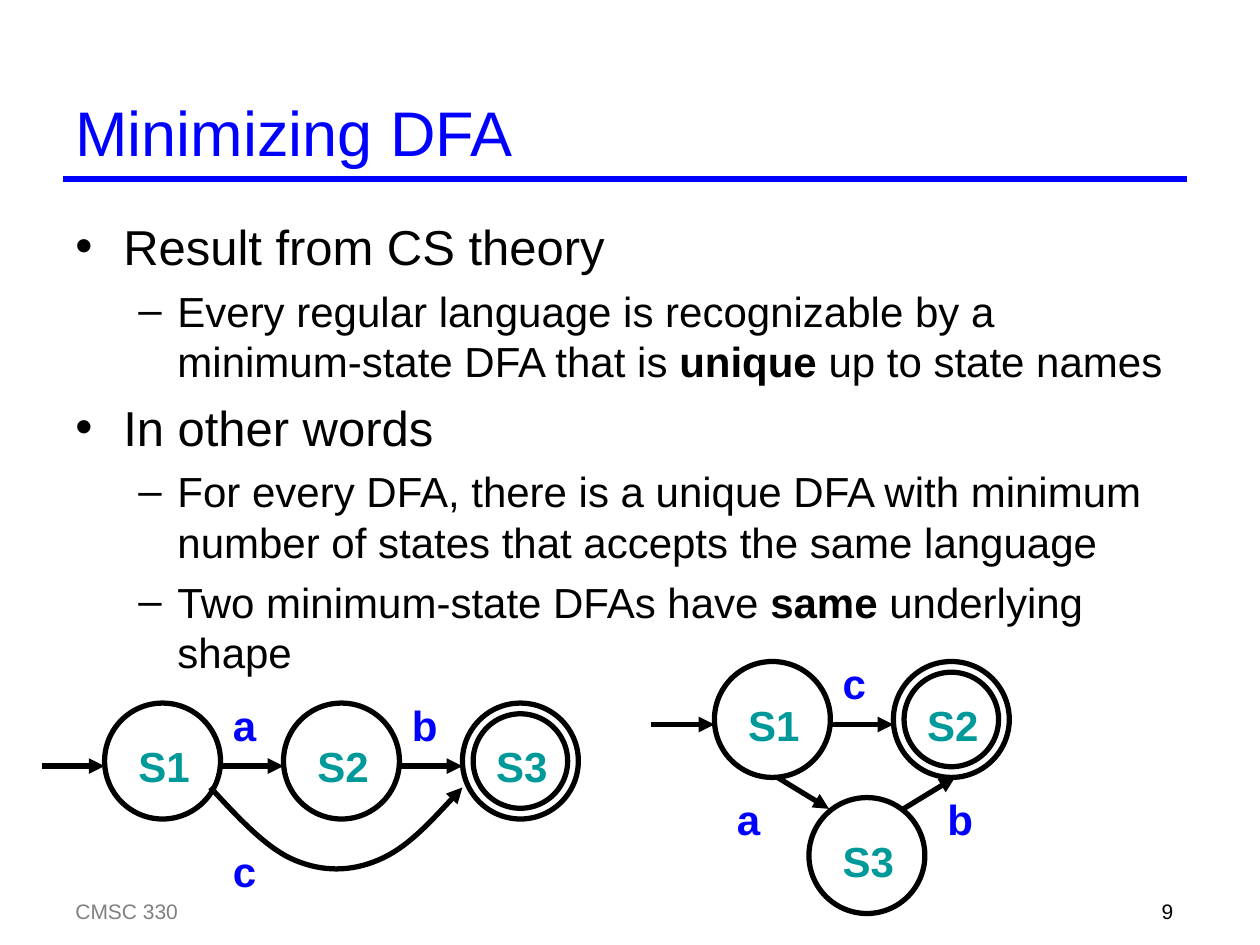
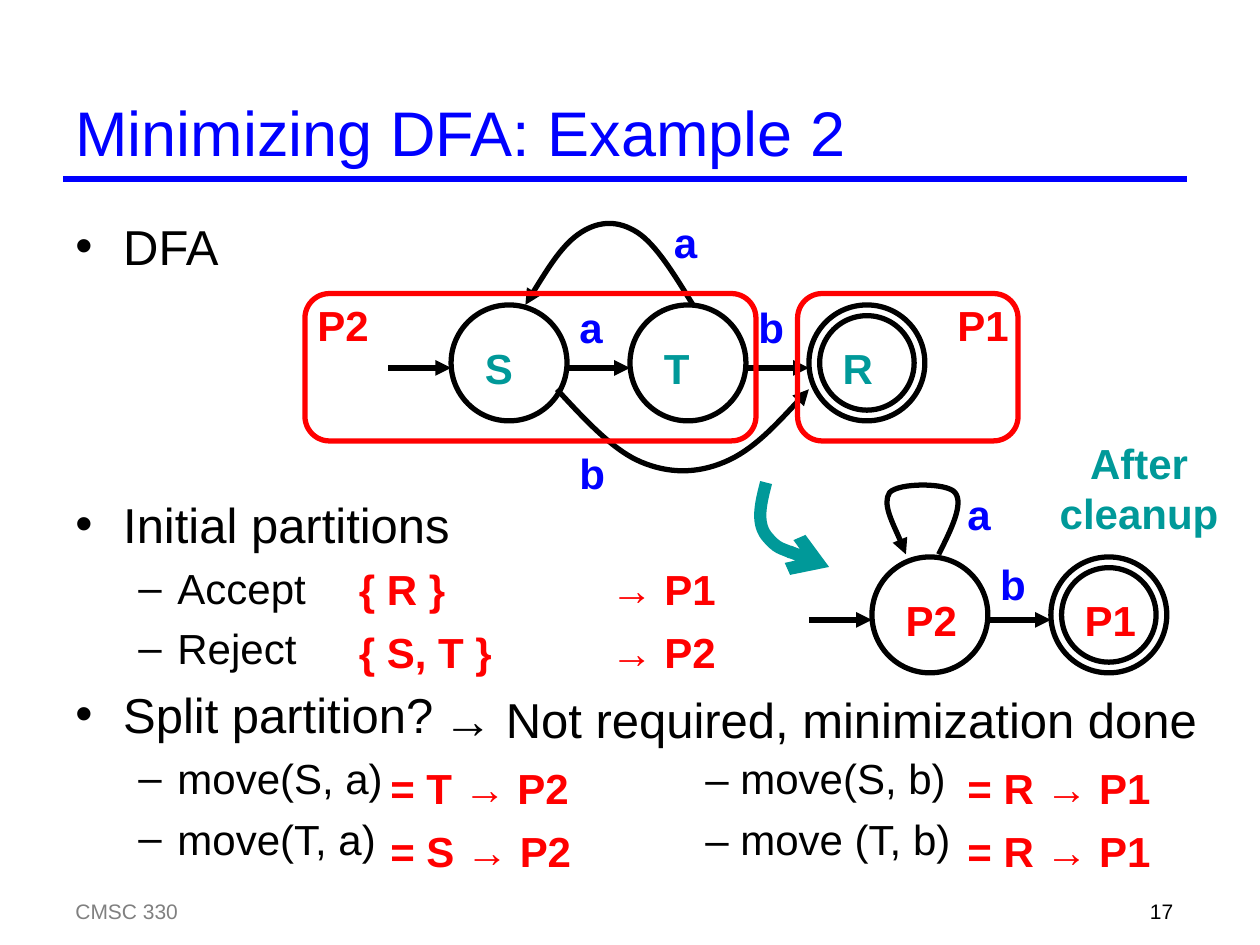
"""Builds two lecture slides on minimizing DFAs."""
from lxml.etree import SubElement
from pptx import Presentation
from pptx.dml.color import RGBColor
from pptx.enum.shapes import MSO_CONNECTOR, MSO_SHAPE
from pptx.enum.text import MSO_ANCHOR, PP_ALIGN
from pptx.oxml.ns import qn
from pptx.util import Inches, Pt

BLACK, BLUE, TEAL, RED, GRAY = "000000", "0000FF", "009999", "FF0000", "808080"
FONT = "Arial"
NODE, RING, PITCH, ARROW = 0.92, 0.75, 1.42, 0.5


def rgb(value):
    return RGBColor.from_string(value)


def write(tf, text, size=24, color=BLACK, bold=False, align=PP_ALIGN.LEFT,
          before=0, bullet=None, margin=0, hang=0, tab=None, new=False):
    """Write one paragraph, switching bold at each asterisk."""
    p = tf.add_paragraph() if new else tf.paragraphs[0]
    p.alignment = align
    p.space_before = Pt(before)
    for i, part in enumerate(text.split("*")):
        if part:
            r = p.add_run()
            r.text = part
            r.font.name = FONT
            r.font.size = Pt(size)
            r.font.bold = bold or i % 2 == 1
            r.font.color.rgb = rgb(color)
    pPr = p._p.get_or_add_pPr()
    if bullet:
        pPr.set("marL", str(Inches(margin)))
        pPr.set("indent", str(Inches(-hang)))
        SubElement(pPr, qn("a:buFont"), typeface=FONT)
        SubElement(pPr, qn("a:buChar"), char=bullet)
    if tab:
        tabs = SubElement(pPr, qn("a:tabLst"))
        SubElement(tabs, qn("a:tab"), pos=str(Inches(tab)), algn="l")


class Deck:
    """Holds the presentation style and the current slide."""

    def __init__(self):
        self.prs = Presentation()
        self.prs.slide_width, self.prs.slide_height = Inches(10), Inches(7.5)
        self.s = None

    def slide(self, title, number):
        self.s = self.prs.slides.add_slide(self.prs.slide_layouts[6])
        self.line(0.5, 1.42, 9.42, 1.42, BLUE, head=None)
        self.text(0.5, 7.08, 6.08, 0.25, "CMSC 330", size=12, color=GRAY)
        self.text(7.33, 7.08, 2.08, 0.25, number, size=12, align=PP_ALIGN.RIGHT)
        tf = self.text(0.5, 0.67, 8.92, 0.75, title, size=36, color=BLUE)
        tf.vertical_anchor = MSO_ANCHOR.MIDDLE

    def text(self, x, y, w, h, text, **fmt):
        tf = self.box(x, y, w, h)
        write(tf, text, **fmt)
        return tf

    def box(self, x, y, w, h):
        tb = self.s.shapes.add_textbox(Inches(x), Inches(y), Inches(w), Inches(h))
        tb.text_frame.word_wrap = True
        return tb.text_frame

    def body(self, items, width=8.92):
        """Write (level, text, gap) items as a two-level list."""
        tf = self.box(0.5, 1.67, width, 5.33)
        levels = [dict(size=28, bullet="•", margin=0.38, hang=0.38),
                  dict(size=24, bullet="–", margin=0.81, hang=0.31, tab=5)]
        for i, (level, text, *gap) in enumerate(items):
            fmt = levels[level]
            before = gap[0] if gap else fmt["size"] * 0.23 * (i > 0)
            write(tf, text, before=before, new=i > 0, **fmt)

    def label(self, x, y, text, color=BLUE, w=0.5, **fmt):
        self.text(x, y, w, 0.5, text, color=color, bold=True, **fmt)

    def pen(self, shape, color, width, head):
        shape.line.color.rgb = rgb(color)
        shape.line.width = Pt(width)
        spPr = shape.element.spPr
        if head:
            SubElement(spPr.find(qn("a:ln")), qn("a:tailEnd"), type=head)
        SubElement(spPr, qn("a:effectLst"))

    def line(self, x1, y1, x2, y2, color=BLACK, width=3, head="triangle"):
        c = self.s.shapes.add_connector(
            MSO_CONNECTOR.STRAIGHT, Inches(x1), Inches(y1), Inches(x2), Inches(y2))
        self.pen(c, color, width, head)

    def outline(self, kind, x, y, w, h, color=BLACK):
        sp = self.s.shapes.add_shape(kind, Inches(x), Inches(y), Inches(w), Inches(h))
        sp.fill.background()
        self.pen(sp, color, 3, None)

    def curve(self, points, color=BLACK, width=3, head="triangle"):
        """Draw a start point followed by triples of Bezier points."""
        start, *rest = [(Inches(x), Inches(y)) for x, y in points]
        fb = self.s.shapes.build_freeform(*start)
        fb.add_line_segments(rest, close=False)
        sp = fb.convert_to_shape()
        outline = sp.element.spPr.find(".//" + qn("a:path"))
        steps = outline.findall(qn("a:lnTo"))
        for i in range(0, len(steps), 3):
            bezier = SubElement(outline, qn("a:cubicBezTo"))
            for step in steps[i:i + 3]:
                bezier.append(step[0])
                outline.remove(step)
        sp.fill.background()
        self.pen(sp, color, width, head)

    def arch(self, x1, x2, y, rise):
        """Draw an arrow that leaves y by rise and comes back at x2."""
        across = (0, 1/9, 2/9, 1/3, 4/9, 5/9, 2/3, 7/9, 8/9, 1)
        up = (0, 0.36, 0.72, 0.86, 1, 1, 0.86, 0.72, 0.36, 0)
        self.curve([(x1 + (x2 - x1) * a, y + rise * u) for a, u in zip(across, up)])

    def state(self, x, y, name, color=TEAL, accept=False):
        self.outline(MSO_SHAPE.OVAL, x, y, NODE, NODE)
        if accept:
            gap = (NODE - RING) / 2
            self.outline(MSO_SHAPE.OVAL, x + gap, y + gap, RING, RING)
        self.label(x + 0.17, y + 0.25, name, color, w=0.67)

    def machine(self, x, y, names, edges, color=TEAL, lift=0.08):
        """Draw a row of states, the last accepting, with labelled arrows."""
        for i, name in enumerate(names):
            left = x + i * PITCH
            self.state(left, y, name, color, accept=i == len(names) - 1)
            self.line(left - ARROW, y + 0.5, left, y + 0.5)
        for i, edge in enumerate(edges):
            self.label(x + i * PITCH + NODE, y - lift, edge)

    def bypass(self, x, y, edge):
        """Draw the labelled arrow below a row, from first state to third."""
        self.arch(x + 0.84, x + 2 * PITCH, y + 0.67, 0.67)
        self.label(x + NODE, y + 1.08, edge)


def theory_slide(d):
    d.slide("Minimizing DFA", "9")
    d.body([
        (0, "Result from CS theory"),
        (1, "Every regular language is recognizable by a minimum-state DFA "
            "that is *unique* up to state names"),
        (0, "In other words"),
        (1, "For every DFA, there is a unique DFA with minimum number of "
            "states that accepts the same language"),
        (1, "Two minimum-state DFAs have *same* underlying shape"),
    ])
    d.machine(0.83, 5.58, ["S1", "S2", "S3"], "ab")
    d.bypass(0.83, 5.58, "c")
    d.machine(5.67, 5.25, ["S1", "S2"], "c")
    d.state(6.42, 6.33, "S3")
    d.line(6.17, 6.17, 6.58, 6.42)
    d.line(7.17, 6.42, 7.58, 6.17)
    d.label(5.75, 6.25, "a")
    d.label(7.42, 6.25, "b")


def example_slide(d):
    d.slide("Minimizing DFA: Example 2", "17")
    d.body([
        (0, "DFA"),
        (0, "Initial partitions", 125),
        (1, "Accept"),
        (1, "Reject"),
        (0, "Split partition?"),
        (1, "move(S, a)\t– move(S, b)"),
        (1, "move(T, a)\t– move (T, b)"),
    ], width=9)
    d.machine(3.58, 2.42, "STR", "ab")
    d.bypass(3.58, 2.42, "b")
    d.arch(5.5, 4.17, 2.42, -0.67)
    d.label(5.25, 1.67, "a")
    for x, w, name, name_x in [(2.42, 3.58, "P2", 2.42), (6.33, 1.75, "P1", 7.5)]:
        d.outline(MSO_SHAPE.ROUNDED_RECTANGLE, x, 2.33, w, 1.17, RED)
        d.label(name_x, 2.33, name, RED, w=0.67)

    d.label(2.75, 4.42, "{ R }\t→ P1", RED, w=3.17, tab=2)
    d.label(2.75, 4.92, "{ S, T }\t→ P2", RED, w=3.17, tab=2)
    d.text(3.42, 5.42, 6.25, 0.57, "*→ *Not required, minimization done", size=28)
    for x, moves in [(3, ["= T → P2", "= S → P2"]), (7.58, ["= R → P1"] * 2)]:
        for i, move in enumerate(moves):
            d.label(x, 6 + 0.5 * i, move, RED, w=1.67)

    d.machine(6.92, 4.42, ["P2", "P1"], "b", RED, lift=0.04)
    d.curve([(7.45, 4.4), (7.55, 4.2), (7.65, 4), (7.58, 3.91), (7.52, 3.83),
             (7.13, 3.83), (7.06, 3.91), (7, 4), (7.13, 4.24), (7.19, 4.4)])
    d.label(7.58, 3.83, "a")
    d.curve([(6.08, 3.83), (6.04, 3.99), (6, 4.14), (6.08, 4.25),
             (6.17, 4.36), (6.38, 4.43), (6.58, 4.5)], TEAL, 7, "arrow")
    d.label(8.25, 3.42, "After cleanup", TEAL, w=1.58, align=PP_ALIGN.CENTER)


deck = Deck()
theory_slide(deck)
example_slide(deck)
deck.prs.save("out.pptx")
